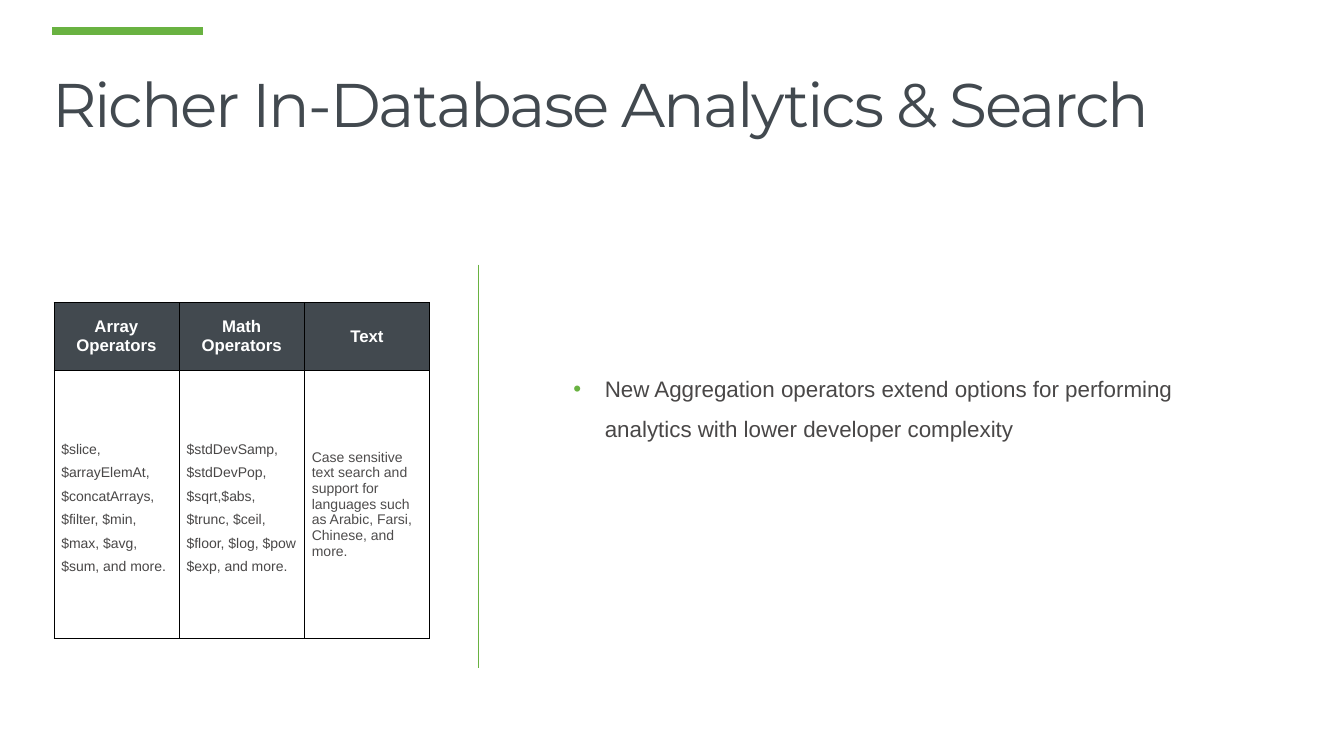
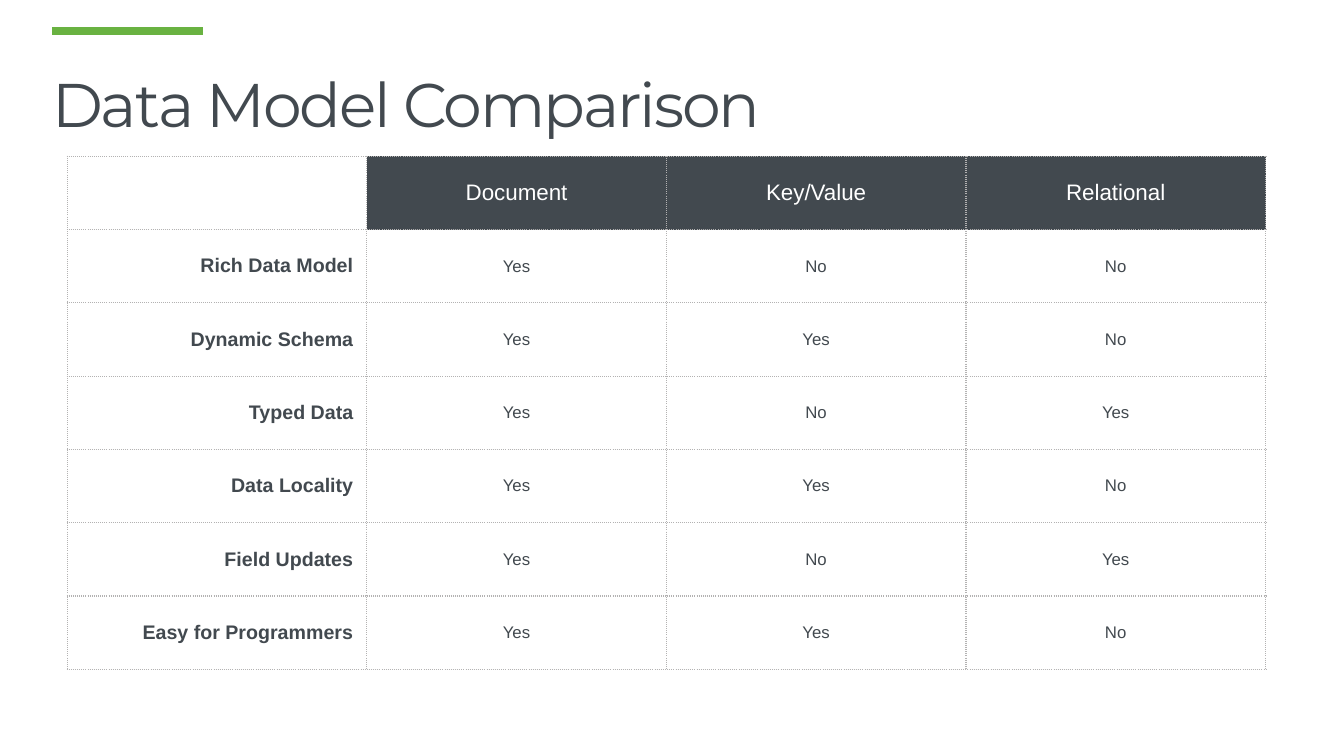
from dataclasses import dataclass

from lxml import etree
from pptx import Presentation
from pptx.dml.color import RGBColor
from pptx.enum.shapes import MSO_CONNECTOR
from pptx.enum.text import MSO_ANCHOR, MSO_AUTO_SIZE, PP_ALIGN
from pptx.oxml.ns import qn
from pptx.util import Pt

STRAIGHT = MSO_CONNECTOR.STRAIGHT
MIDDLE, BOTTOM = MSO_ANCHOR.MIDDLE, MSO_ANCHOR.BOTTOM
NO_FIT = MSO_AUTO_SIZE.NONE
LEFT, CENTER, RIGHT = PP_ALIGN.LEFT, PP_ALIGN.CENTER, PP_ALIGN.RIGHT
TITLE_AND_BODY, TITLE_ONLY = 1, 5


@dataclass(frozen=True)
class Theme:
    green: str = "69B241"
    slate: str = "42494F"
    text: str = "494747"
    soft_text: str = "4E4C4C"
    white: str = "FFFFFF"
    black: str = "000000"
    grid: str = "B3B2B2"
    title_font: str = "Montserrat"
    body_font: str = "Arial"
    title_size: float = 44
    body_size: float = 16
    label_size: float = 14
    cell_size: float = 12
    small_size: float = 10


THEME = Theme()


@dataclass(frozen=True)
class Box:
    left: float
    top: float
    width: float
    height: float


@dataclass(frozen=True)
class CellStyle:
    size: float
    color: str
    alignment: PP_ALIGN = CENTER
    bold: bool = False
    line_spacing: float = 1.0
    fill: str = ""


@dataclass(frozen=True)
class GridStyle:
    border_color: str
    border_width: float
    dash: str
    side_margin: float
    edge_margin: float


TITLE_BOX = Box(30, 0, 924, 104.5)

OPERATOR_GRID = GridStyle(THEME.black, 0.25, "solid", 5.4, 3)
OPERATOR_HEADER = CellStyle(THEME.cell_size, THEME.white, bold=True, fill=THEME.slate)
OPERATOR_LIST = CellStyle(THEME.small_size, THEME.text, LEFT, line_spacing=1.5)
OPERATOR_NOTE = CellStyle(THEME.small_size, THEME.soft_text, LEFT)

COMPARISON_GRID = GridStyle(THEME.grid, 1, "dot", 9.6, 4.8)
COMPARISON_HEADER = CellStyle(THEME.body_size, THEME.white, fill=THEME.slate)
COMPARISON_LABEL = CellStyle(THEME.label_size, THEME.slate, RIGHT, bold=True)
COMPARISON_VALUE = CellStyle(THEME.cell_size, THEME.slate)

OPERATORS = [
    ["Array Operators", "Math Operators", "Text"],
    [
        "$slice, $arrayElemAt, $concatArrays,$filter, $min, $max, $avg, $sum, and more.",
        "$stdDevSamp, $stdDevPop, $sqrt,$abs, $trunc, $ceil,$floor, $log, $pow\n"
        "$exp, and more.",
        "Case sensitive text search and support for languages such as Arabic, "
        "Farsi, Chinese, and more.",
    ],
]

COMPARISON = [
    ["", "Document", "Key/Value", "Relational"],
    ["Rich Data Model", "Yes", "No", "No"],
    ["Dynamic Schema", "Yes", "Yes", "No"],
    ["Typed Data", "Yes", "No", "Yes"],
    ["Data Locality", "Yes", "Yes", "No"],
    ["Field Updates", "Yes", "No", "Yes"],
    ["Easy for Programmers", "Yes", "Yes", "No"],
]


def rgb(color):
    return RGBColor.from_string(color)


def place(shape, box):
    shape.left, shape.top = Pt(box.left), Pt(box.top)
    shape.width, shape.height = Pt(box.width), Pt(box.height)


def set_font(paragraph, name, size, color, bold=False):
    font = paragraph.font
    font.name, font.size, font.bold = name, Pt(size), bold
    font.color.rgb = rgb(color)


def add_rule(slide, box, weight):
    """Draw a green line from the top left to the bottom right of the box."""
    line = slide.shapes.add_connector(
        STRAIGHT, Pt(box.left), Pt(box.top),
        Pt(box.left + box.width), Pt(box.top + box.height))
    line.line.color.rgb = rgb(THEME.green)
    line.line.width = Pt(weight)
    etree.SubElement(line._element.spPr, qn("a:effectLst"))


def fill_placeholder(placeholder, box, text, anchor, line_spacing):
    """Place a one-paragraph placeholder and return its paragraph."""
    place(placeholder, box)
    frame = placeholder.text_frame
    frame.text = text
    frame.auto_size = NO_FIT
    frame.word_wrap = True
    frame.vertical_anchor = anchor
    paragraph = frame.paragraphs[0]
    paragraph.alignment = LEFT
    paragraph.line_spacing = line_spacing
    paragraph.space_before = Pt(0)
    return paragraph


def add_titled_slide(presentation, layout_index, title):
    slide = presentation.slides.add_slide(presentation.slide_layouts[layout_index])
    paragraph = fill_placeholder(slide.shapes.title, TITLE_BOX, title, BOTTOM, 0.9)
    set_font(paragraph, THEME.title_font, THEME.title_size, THEME.slate)
    paragraph.runs[0]._r.get_or_add_rPr().set("spc", "-150")
    add_rule(slide, Box(37.4, 22.3, 107.8, 0), 6)
    return slide


def fill_bullet(placeholder, box, text):
    paragraph = fill_placeholder(placeholder, box, text, MIDDLE, 1.5)
    properties = paragraph._p.get_or_add_pPr()
    properties.set("marL", str(Pt(22.5)))
    properties.set("indent", str(Pt(-22.5)))
    bullet_color = etree.SubElement(properties, qn("a:buClr"))
    etree.SubElement(bullet_color, qn("a:srgbClr"), val=THEME.green)
    etree.SubElement(properties, qn("a:buChar"), char="•")
    set_font(paragraph, THEME.body_font, THEME.body_size, THEME.text)


def add_borders(cell, grid):
    properties = cell._tc.get_or_add_tcPr()
    for side in ("lnL", "lnR", "lnT", "lnB"):
        line = etree.SubElement(
            properties, qn(f"a:{side}"), w=str(Pt(grid.border_width)))
        fill = etree.SubElement(line, qn("a:solidFill"))
        etree.SubElement(fill, qn("a:srgbClr"), val=grid.border_color)
        etree.SubElement(line, qn("a:prstDash"), val=grid.dash)


def format_cell(cell, text, style, grid):
    cell.text = text
    cell.vertical_anchor = MIDDLE
    cell.margin_left = cell.margin_right = Pt(grid.side_margin)
    cell.margin_top = cell.margin_bottom = Pt(grid.edge_margin)
    add_borders(cell, grid)
    if style.fill and text:
        cell.fill.solid()
        cell.fill.fore_color.rgb = rgb(style.fill)
    else:
        cell.fill.background()
    for paragraph in cell.text_frame.paragraphs:
        paragraph.alignment = style.alignment
        paragraph.line_spacing = style.line_spacing
        set_font(paragraph, THEME.body_font, style.size, style.color, style.bold)


def add_grid(slide, box, rows, header_height, grid, style_of):
    """Add a table with equal columns and equal rows below the header.

    style_of(row, column) gives the style of each cell.
    """
    table = slide.shapes.add_table(
        len(rows), len(rows[0]), Pt(box.left), Pt(box.top),
        Pt(box.width), Pt(box.height)).table
    table.first_row = table.horz_banding = False
    for column in table.columns:
        column.width = Pt(box.width / len(rows[0]))
    body_height = (box.height - header_height) / (len(rows) - 1)
    for row_index, texts in enumerate(rows):
        table.rows[row_index].height = Pt(body_height if row_index else header_height)
        for column_index, text in enumerate(texts):
            format_cell(table.cell(row_index, column_index), text,
                        style_of(row_index, column_index), grid)


def operator_style(row, column):
    if row == 0:
        return OPERATOR_HEADER
    return OPERATOR_NOTE if column == 2 else OPERATOR_LIST


def comparison_style(row, column):
    if row == 0:
        return COMPARISON_HEADER
    return COMPARISON_VALUE if column else COMPARISON_LABEL


def build_analytics_slide(presentation):
    slide = add_titled_slide(
        presentation, TITLE_AND_BODY, "Richer In-Database Analytics & Search")
    add_rule(slide, Box(342, 189, 0, 288), 0.5)
    fill_bullet(
        slide.placeholders[1], Box(402.3, 118, 479, 338.5),
        "New Aggregation operators extend options for performing analytics "
        "with lower developer complexity")
    add_grid(slide, Box(38.4, 216, 268.5, 240), OPERATORS, 48.6,
             OPERATOR_GRID, operator_style)


def build_comparison_slide(presentation):
    slide = add_titled_slide(presentation, TITLE_ONLY, "Data Model Comparison")
    box = Box(48, 111.6, 856, 366.5)
    add_grid(slide, box, COMPARISON, box.height / len(COMPARISON),
             COMPARISON_GRID, comparison_style)


def main():
    presentation = Presentation()
    presentation.slide_width, presentation.slide_height = Pt(960), Pt(540)
    build_analytics_slide(presentation)
    build_comparison_slide(presentation)
    presentation.save("out.pptx")


if __name__ == "__main__":
    main()
